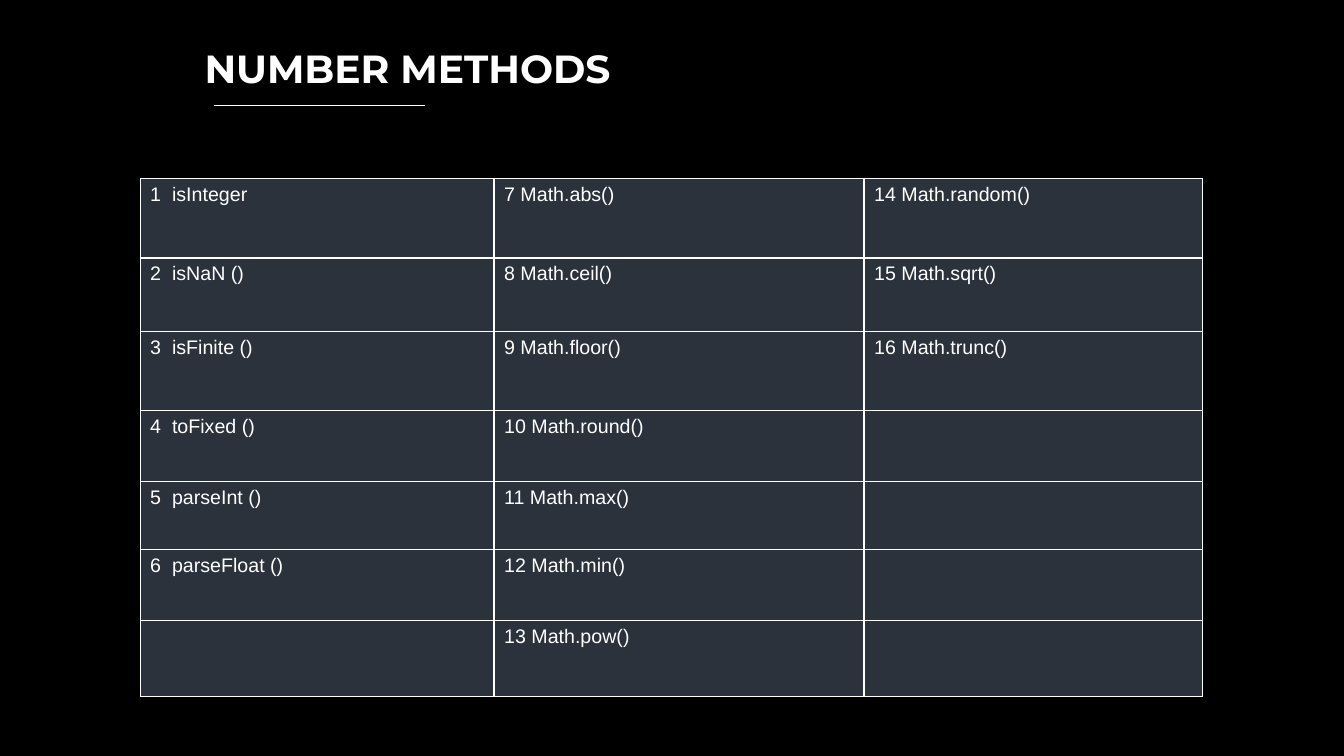
import pptx
import pptx.dml.color
import pptx.enum.shapes
import pptx.oxml
import pptx.oxml.ns
import pptx.util
from pptx.util import Inches

TITLE = "NUMBER METHODS"
METHOD_COLUMNS = [
    ["1  isInteger", "2  isNaN ()", "3  isFinite ()", "4  toFixed ()",
     "5  parseInt ()", "6  parseFloat ()"],
    ["7 Math.abs()", "8 Math.ceil()", "9 Math.floor()", "10 Math.round()",
     "11 Math.max()", "12 Math.min()", "13 Math.pow()"],
    ["14 Math.random()", "15 Math.sqrt()", "16 Math.trunc()"],
]
COLUMN_WIDTHS = [3.51, 3.67, 3.36]
ROW_HEIGHTS = [0.79, 0.73, 0.78, 0.71, 0.67, 0.71, 0.75]
TABLE_LEFT, TABLE_TOP = 1.39, 1.77
BLACK, WHITE, SLATE = "000000", "FFFFFF", "2B323C"


def color(value):
    return pptx.dml.color.RGBColor.from_string(value)


def style_text(paragraph, name, size, bold=False):
    font = paragraph.font
    font.name = name
    font.size = pptx.util.Pt(size)
    font.bold = bold
    font.color.rgb = color(WHITE)


def add_borders(cell):
    properties = cell._tc.get_or_add_tcPr()
    for position, side in enumerate(("lnL", "lnR", "lnT", "lnB")):
        border = pptx.oxml.parse_xml(
            f'<a:{side} {pptx.oxml.ns.nsdecls("a")} w="{pptx.util.Pt(1)}">'
            f'<a:solidFill><a:srgbClr val="{WHITE}"/></a:solidFill></a:{side}>')
        properties.insert(position, border)


def add_title(slide):
    box = slide.shapes.add_textbox(Inches(1.93), Inches(0.39), Inches(11.31), Inches(0.57))
    box.text_frame.word_wrap = True
    paragraph = box.text_frame.paragraphs[0]
    paragraph.text = TITLE
    style_text(paragraph, "Montserrat", 28, bold=True)

    underline = slide.shapes.add_connector(
        pptx.enum.shapes.MSO_CONNECTOR.STRAIGHT,
        Inches(2.12), Inches(1.05), Inches(4.22), Inches(1.05))
    underline.line.color.rgb = color(WHITE)
    underline.line.width = pptx.util.Pt(0.75)
    underline._element.spPr.append(
        pptx.oxml.parse_xml(f'<a:effectLst {pptx.oxml.ns.nsdecls("a")}/>'))


def add_methods(slide):
    table = slide.shapes.add_table(
        len(ROW_HEIGHTS), len(COLUMN_WIDTHS), Inches(TABLE_LEFT), Inches(TABLE_TOP),
        Inches(sum(COLUMN_WIDTHS)), Inches(sum(ROW_HEIGHTS))).table
    table.first_row = False
    table.horz_banding = False
    for row, height in zip(table.rows, ROW_HEIGHTS):
        row.height = Inches(height)
    for column, width in zip(table.columns, COLUMN_WIDTHS):
        column.width = Inches(width)
    for cell in table.iter_cells():
        cell.fill.solid()
        cell.fill.fore_color.rgb = color(SLATE)
        add_borders(cell)
    for column_index, methods in enumerate(METHOD_COLUMNS):
        for row_index, method in enumerate(methods):
            paragraph = table.cell(row_index, column_index).text_frame.paragraphs[0]
            paragraph.text = method
            style_text(paragraph, "Arial", 14)


def main():
    presentation = pptx.Presentation()
    presentation.slide_width = Inches(13.33)
    presentation.slide_height = Inches(7.5)
    slide = presentation.slides.add_slide(presentation.slide_layouts[6])
    slide.background.fill.solid()
    slide.background.fill.fore_color.rgb = color(BLACK)
    add_title(slide)
    add_methods(slide)
    presentation.save("out.pptx")


if __name__ == "__main__":
    main()
